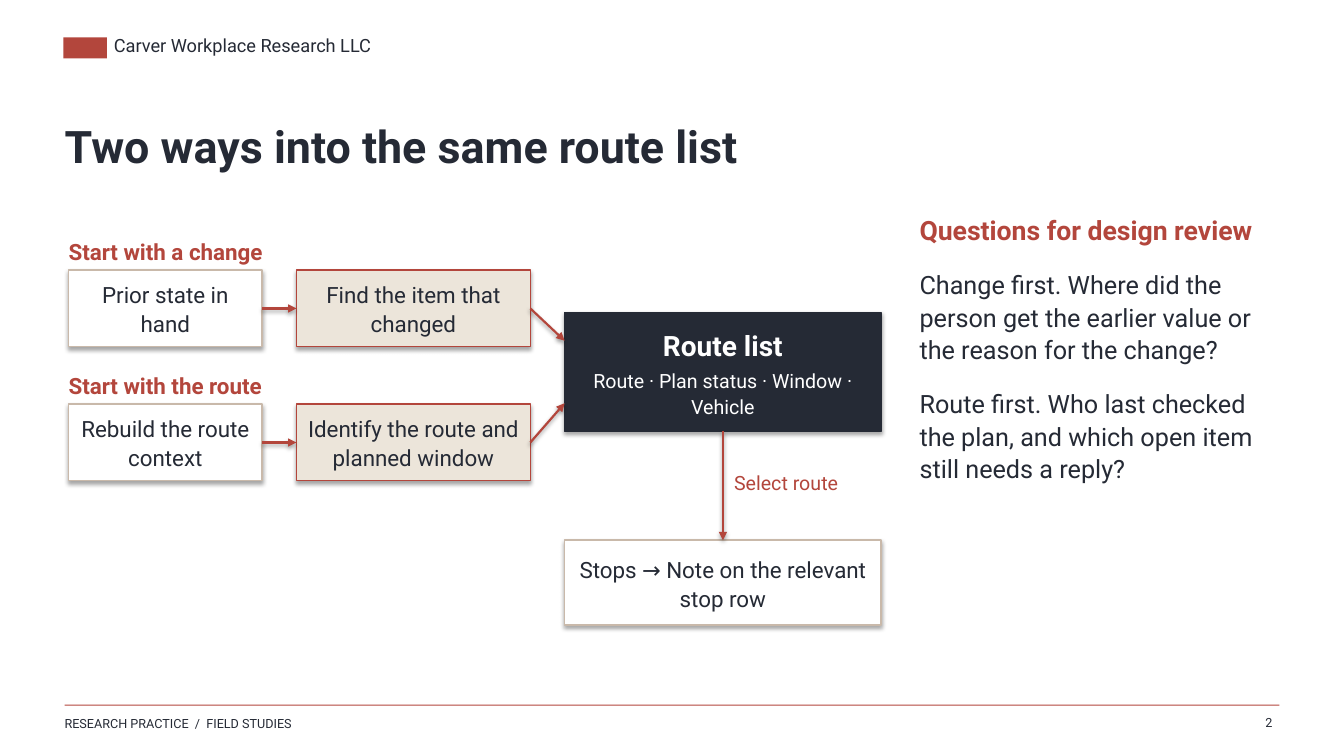
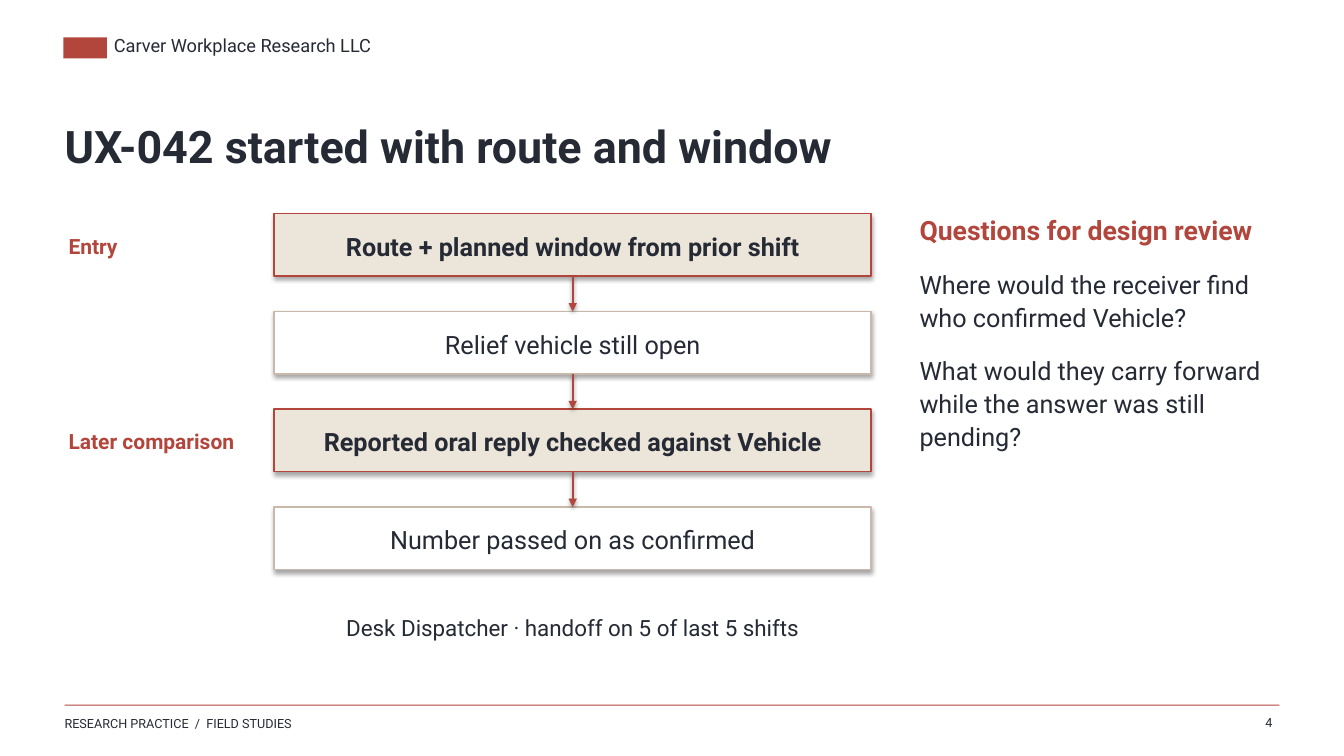
from lxml import etree
from pptx import Presentation
from pptx.dml.color import RGBColor
from pptx.enum import shapes, text
from pptx.oxml import ns
from pptx.util import Inches, Pt

FONT = "Roboto"
INK, RED, SAND, TAUPE, WHITE = "252A35", "B3463C", "ECE5DA", "C9B9AA", "FFFFFF"
PLAIN, ACCENT, DARK = (WHITE, TAUPE), (SAND, RED), (INK, INK)
LEFT, CENTER, RIGHT = text.PP_ALIGN.LEFT, text.PP_ALIGN.CENTER, text.PP_ALIGN.RIGHT
TOP, MIDDLE = text.MSO_ANCHOR.TOP, text.MSO_ANCHOR.MIDDLE
SITE_TOP, SITE_LEFT, SITE_BOTTOM, SITE_RIGHT = range(4)

# Content
COMPANY = "Carver Workplace Research LLC"
FOOTER = "RESEARCH PRACTICE  /  FIELD STUDIES"
REVIEW_HEADING = "Questions for design review"

ROUTES = {
    "title": "Two ways into the same route list",
    "number": "2",
    "questions": [
        "Change first. Where did the person get the earlier value or the reason for the change?",
        "Route first. Who last checked the plan, and which open item still needs a reply?",
    ],
    # heading, first step, second step, height where the arrow meets the hub
    "ways": [
        ("Start with a change", "Prior state in hand", "Find the item that changed", 3.38),
        ("Start with the route", "Rebuild the route context",
         "Identify the route and planned window", 4.0),
    ],
    "hub": ("Route list", "Route · Plan status · Window · Vehicle"),
    "action": "Select route",
    "result": "Stops → Note on the relevant stop row",
}
HANDOFF = {
    "title": "UX-042 started with route and window",
    "number": "4",
    "questions": [
        "Where would the receiver find who confirmed Vehicle?",
        "What would they carry forward while the answer was still pending?",
    ],
    # side label (marks a key step), step
    "steps": [
        ("Entry", "Route + planned window from prior shift"),
        ("", "Relief vehicle still open"),
        ("Later comparison", "Reported oral reply checked against Vehicle"),
        ("", "Number passed on as confirmed"),
    ],
    "caption": "Desk Dispatcher · handoff on 5 of last 5 shifts",
}


# Drawing helpers
def rgb(value):
    return RGBColor.from_string(value)


def inches(*values):
    return [Inches(value) for value in values]


def para(words, size, color=INK, bold=False, before=0):
    return words, size, color, bold, before


def write(frame, paras, align=LEFT, anchor=MIDDLE, inset=0, spacing=1.08, wrap=True):
    frame.auto_size = text.MSO_AUTO_SIZE.NONE
    frame.word_wrap = wrap
    frame.vertical_anchor = anchor
    frame.margin_left = frame.margin_right = Inches(inset)
    frame.margin_top = frame.margin_bottom = Inches(inset)
    for index, (words, size, color, bold, before) in enumerate(paras):
        paragraph = frame.add_paragraph() if index else frame.paragraphs[0]
        paragraph.alignment = align
        paragraph.line_spacing = spacing
        if before:
            paragraph.space_before = Pt(before)
        run = paragraph.add_run()
        run.text = words
        run.font.name, run.font.size, run.font.bold = FONT, Pt(size), bold
        run.font.color.rgb = rgb(color)


def label(slide, at, *paras, **style):
    write(slide.shapes.add_textbox(*inches(*at)).text_frame, paras, **style)


def add_shadow(effects, distance, opacity):
    shadow = etree.SubElement(effects, ns.qn("a:outerShdw"), blurRad=str(Pt(3.1)),
                              dist=str(Pt(distance)), dir="5400000", rotWithShape="0")
    black = etree.SubElement(shadow, ns.qn("a:srgbClr"), val="000000")
    etree.SubElement(black, ns.qn("a:alpha"), val=str(opacity * 1000))


def bar(slide, at, color=RED):
    shape = slide.shapes.add_shape(shapes.MSO_SHAPE.RECTANGLE, *inches(*at))
    shape.shadow.inherit = False
    shape.fill.solid()
    shape.fill.fore_color.rgb = rgb(color)
    shape.line.fill.background()
    return shape


def box(slide, at, look, *paras):
    fill, outline = look
    shape = bar(slide, at, fill)
    shape.line.color.rgb = rgb(outline)
    shape.line.width = Pt(1.1)
    add_shadow(shape._element.spPr.find(ns.qn("a:effectLst")), 1.8, 35)
    write(shape.text_frame, paras, CENTER, inset=0.09)
    return shape


def arrow(slide, start, start_site, end=None, end_site=None, point=(0, 0)):
    """Join two boxes, or run from one box to a free point."""
    link = slide.shapes.add_connector(shapes.MSO_CONNECTOR.STRAIGHT,
                                      0, 0, *inches(*point))
    link.begin_connect(start, start_site)
    if end is not None:
        link.end_connect(end, end_site)
    link.line.color.rgb = rgb(RED)
    link.line.width = Pt(1.55)
    properties = link._element.spPr
    etree.SubElement(properties.find(ns.qn("a:ln")), ns.qn("a:tailEnd"), type="triangle")
    add_shadow(etree.SubElement(properties, ns.qn("a:effectLst")), 1.6, 38)


# Shared frame: header, title, review questions, footer
def new_slide(deck, content):
    slide = deck.slides.add_slide(deck.slide_layouts[5])
    bar(slide, (0.63, 0.37, 0.43, 0.21))
    label(slide, (1.13, 0.34, 5.5, 0.3), para(COMPANY, 13),
          anchor=TOP, spacing=1.0, wrap=False)
    bar(slide, (0.64, 6.99, 12.05, 0.01))
    label(slide, (0.64, 7.1, 5.5, 0.24), para(FOOTER, 9),
          anchor=TOP, spacing=1.0, wrap=False)
    label(slide, (12.13, 7.08, 0.49, 0.22), para(content["number"], 9),
          align=RIGHT, anchor=TOP)

    title = slide.shapes.title
    title.left, title.top, title.width, title.height = inches(0.64, 0.92, 12, 1)
    write(title.text_frame, [para(content["title"], 32, bold=True)])

    label(slide, (9.12, 2.1, 3.48, 4.39), para(REVIEW_HEADING, 19, RED, True),
          *[para(question, 18, before=15) for question in content["questions"]],
          anchor=TOP)
    return slide


# Two lanes that meet in one hub
def routes_slide(deck):
    slide = new_slide(deck, ROUTES)
    name, columns = ROUTES["hub"]
    hub_left, hub_width = 5.6, 3.14
    hub = box(slide, (hub_left, 3.1, hub_width, 1.18), DARK,
              para(name, 20, WHITE, True), para(columns, 14, WHITE, before=4))

    lane_top, lane_pitch, step_height = 2.34, 1.33, 0.76
    for lane, (heading, first, second, entry) in enumerate(ROUTES["ways"]):
        top = lane_top + lane * lane_pitch
        label(slide, (0.68, top, 4.68, 0.29), para(heading, 16, RED, True))
        opening = box(slide, (0.68, top + 0.34, 1.92, step_height), PLAIN, para(first, 16))
        search = box(slide, (2.94, top + 0.34, 2.32, step_height), ACCENT, para(second, 16))
        arrow(slide, opening, SITE_RIGHT, search, SITE_LEFT)
        arrow(slide, search, SITE_RIGHT, point=(hub_left, entry))

    result = box(slide, (hub_left, 5.36, hub_width, 0.84), PLAIN, para(ROUTES["result"], 16))
    arrow(slide, hub, SITE_BOTTOM, result, SITE_TOP)
    label(slide, (7.28, 4.62, 1.45, 0.32), para(ROUTES["action"], 14, RED))


# One column of steps
def handoff_slide(deck):
    slide = new_slide(deck, HANDOFF)
    left, width, height = 2.72, 5.92, 0.62
    first_top, pitch = 2.12, 0.97
    previous = None
    for index, (side, words) in enumerate(HANDOFF["steps"]):
        top = first_top + index * pitch
        step = box(slide, (left, top, width, height), ACCENT if side else PLAIN,
                   para(words, 18, bold=bool(side)))
        if side:
            label(slide, (0.68, top, 1.91, height), para(side, 15, RED, True))
        if previous is not None:
            arrow(slide, previous, SITE_BOTTOM, step, SITE_TOP)
        previous = step
    label(slide, (left, 6.04, width, 0.35), para(HANDOFF["caption"], 16), align=CENTER)


def main():
    deck = Presentation()
    deck.slide_width, deck.slide_height = inches(13.33, 7.5)
    routes_slide(deck)
    handoff_slide(deck)
    deck.save("out.pptx")


if __name__ == "__main__":
    main()
